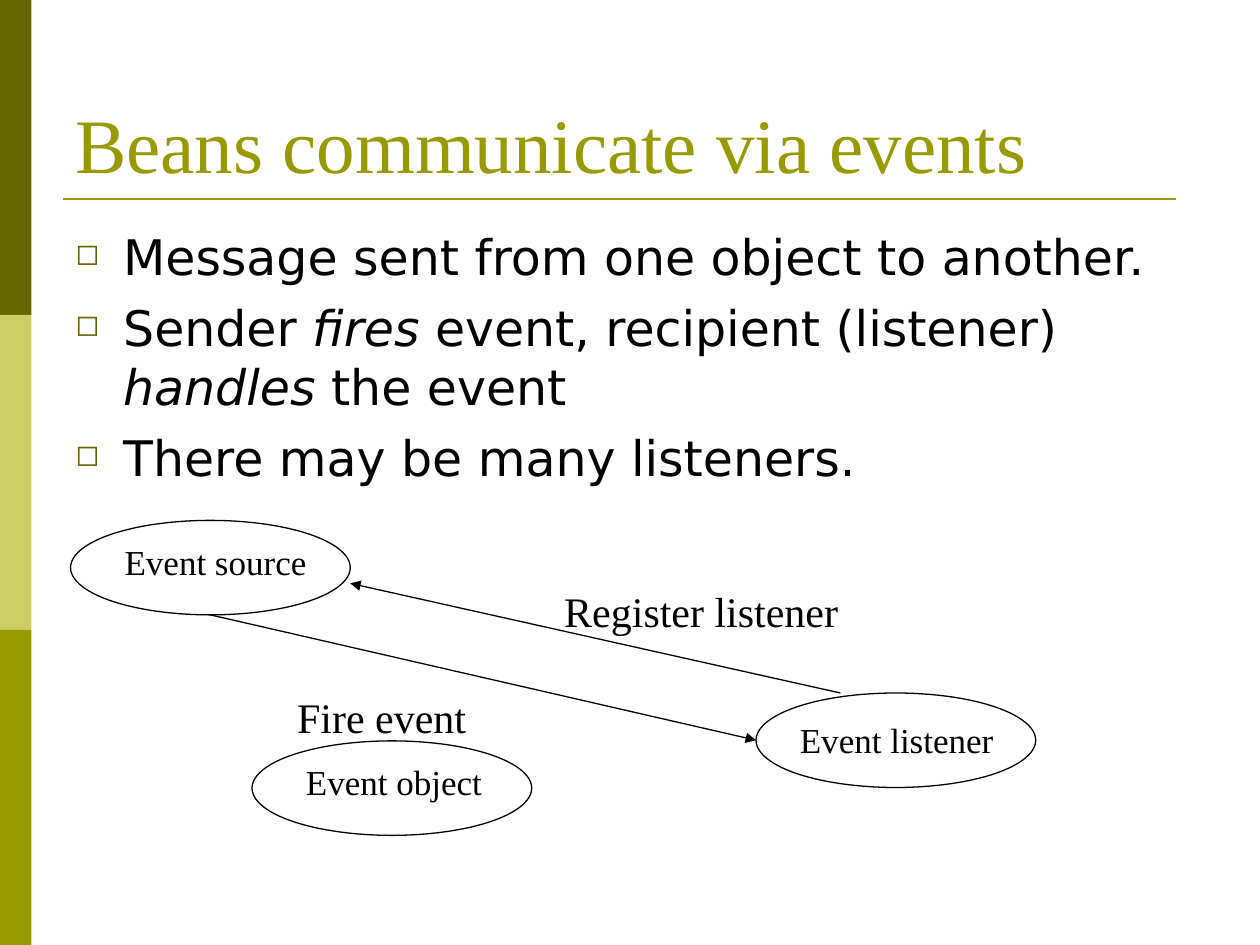
from lxml import etree
from pptx import Presentation
from pptx.dml.color import RGBColor
from pptx.enum.shapes import MSO_CONNECTOR, MSO_SHAPE
from pptx.enum.text import MSO_ANCHOR, MSO_AUTO_SIZE
from pptx.oxml.ns import qn
from pptx.util import Inches, Pt

SERIF, SANS = "Times New Roman", "DejaVu Sans"
BLACK, DARK_OLIVE, LIGHT_OLIVE, OLIVE = "000000", "666600", "CCCC66", "999900"
NODE_SIZE = (2.22, 0.75)


def color(hex_string):
    return RGBColor.from_string(hex_string)


def add_run(paragraph, text, size, font_name=SERIF, hex_color=BLACK, italic=False):
    run = paragraph.add_run()
    run.text = text
    run.font.size = Pt(size)
    run.font.name = font_name
    run.font.italic = italic
    run.font.color.rgb = color(hex_color)


def add_text_frame(slide, box):
    frame = slide.shapes.add_textbox(*map(Inches, box)).text_frame
    frame.word_wrap = True
    return frame


def add_label(slide, box, text, size):
    frame = add_text_frame(slide, box)
    frame.auto_size = MSO_AUTO_SIZE.SHAPE_TO_FIT_TEXT
    add_run(frame.paragraphs[0], text, size)


def add_line(slide, start, end, hex_color=BLACK, width=0.75, arrow=False):
    line = slide.shapes.add_connector(
        MSO_CONNECTOR.STRAIGHT, *map(Inches, (*start, *end)))
    line.line.color.rgb = color(hex_color)
    line.line.width = Pt(width)
    if arrow:
        etree.SubElement(line.line._get_or_add_ln(), qn("a:tailEnd"), type="triangle")
    etree.SubElement(line._element.spPr, qn("a:effectLst"))


def add_side_band(slide, left, top, width, height):
    """Stack three equal colour blocks down the box."""
    block_height = height / 3
    for index, fill in enumerate((DARK_OLIVE, LIGHT_OLIVE, OLIVE)):
        block = slide.shapes.add_shape(
            MSO_SHAPE.RECTANGLE, Inches(left), Inches(top + index * block_height),
            Inches(width), Inches(block_height))
        block.shadow.inherit = False
        block.fill.solid()
        block.fill.fore_color.rgb = color(fill)
        block.line.fill.background()


def add_title(slide, box, text):
    frame = add_text_frame(slide, box)
    frame.vertical_anchor = MSO_ANCHOR.BOTTOM
    add_run(frame.paragraphs[0], text, 44, hex_color=OLIVE)


def add_bullet(paragraph):
    properties = paragraph._p.get_or_add_pPr()
    indent = Inches(0.38)
    properties.set("marL", str(indent))
    properties.set("indent", str(-indent))
    bullet_color = etree.SubElement(properties, qn("a:buClr"))
    etree.SubElement(bullet_color, qn("a:srgbClr"), val=DARK_OLIVE)
    etree.SubElement(properties, qn("a:buSzPct"), val="60000")
    etree.SubElement(properties, qn("a:buChar"), char="◻")


def add_bullet_list(slide, box, items):
    """Each item is a list of (text, italic) pairs."""
    frame = add_text_frame(slide, box)
    for index, item in enumerate(items):
        paragraph = frame.add_paragraph() if index else frame.paragraphs[0]
        add_bullet(paragraph)
        paragraph.space_before = Pt(7 if index else 0)
        for text, italic in item:
            add_run(paragraph, text, 28, SANS, italic=italic)


def add_node(slide, left, top, text, label_box):
    """Draw an ellipse with its label at label_box, relative to the ellipse."""
    ellipse = slide.shapes.add_shape(
        MSO_SHAPE.OVAL, *map(Inches, (left, top, *NODE_SIZE)))
    ellipse.shadow.inherit = False
    ellipse.fill.background()
    ellipse.line.color.rgb = color(BLACK)
    ellipse.line.width = Pt(0.75)
    label_left, label_top, label_width = label_box
    add_label(slide, (left + label_left, top + label_top, label_width, 0.44), text, 20)


def add_event_diagram(slide, left, top):
    node_width, node_height = NODE_SIZE
    source = (left, top)
    listener = (left + 5.44, top + 1.37)
    event_object = (left + 1.44, top + 1.75)
    add_node(slide, *source, "Event source", (0.33, 0.11, 1.78))
    add_node(slide, *listener, "Event listener", (0.25, 0.15, 2.16))
    add_node(slide, *event_object, "Event object", (0.33, 0.11, 1.67))

    source_bottom = (left + node_width / 2, top + node_height)
    listener_left = (listener[0], listener[1] + node_height / 2)
    add_line(slide, source_bottom, listener_left, arrow=True)
    add_label(slide, (left + 1.7, top + 1.31, 1.6, 0.5), "Fire event", 24)

    listener_top = (listener[0] + 0.67, listener[1])
    source_right = (left + node_width, top + 0.5)
    add_line(slide, listener_top, source_right, arrow=True)
    add_label(slide, (left + 3.82, top + 0.47, 2.5, 0.5), "Register listener", 24)


def main():
    presentation = Presentation()
    presentation.slide_width, presentation.slide_height = Inches(10), Inches(7.5)
    slide = presentation.slides.add_slide(presentation.slide_layouts[6])

    add_side_band(slide, 0, 0, 0.25, 7.5)
    add_line(slide, (0.5, 1.58), (9.33, 1.58), OLIVE, 1.5)
    add_title(slide, (0.5, 0.3, 9, 1.25), "Beans communicate via events")
    add_bullet_list(slide, (0.5, 1.75, 9, 4.95), [
        [("Message sent from one object to another.", False)],
        [("Sender ", False), ("fires", True),
         (" event, recipient (listener) ", False), ("handles", True),
         (" the event", False)],
        [("There may be many listeners.", False)],
    ])
    add_event_diagram(slide, 0.56, 4.13)
    presentation.save("out.pptx")


if __name__ == "__main__":
    main()
